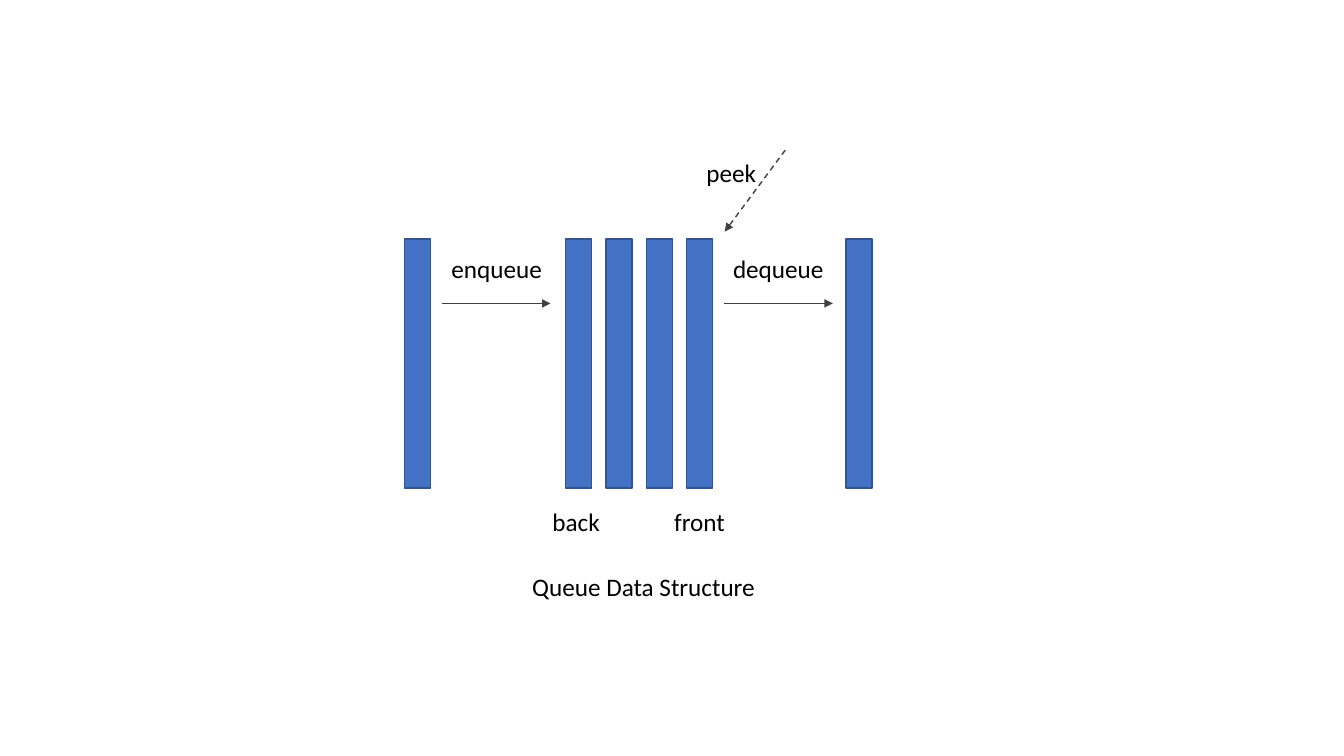
from pptx import Presentation
from pptx.dml.color import RGBColor
from pptx.enum.dml import MSO_LINE
from pptx.enum.shapes import MSO_CONNECTOR, MSO_SHAPE
from pptx.enum.text import MSO_AUTO_SIZE
from pptx.oxml.ns import qn
from pptx.util import Inches, Pt
from lxml.etree import SubElement

theme = {
    "bar": RGBColor(0x44, 0x72, 0xC4),
    "edge": RGBColor(0x32, 0x54, 0x91),
    "arrow": RGBColor(0x40, 0x40, 0x40),
    "line": Pt(1),
    "text": {"name": "Calibri", "size": Pt(18)},
    "ink": RGBColor(0, 0, 0),
}
STEP, LEFT, TOP = 0.4, 4.14, 2.37
WIDE, TALL = 0.65, 6.18


def span(*cells):
    return [Inches(STEP * cell) for cell in cells]


def place(col, row):
    return Inches(LEFT + STEP * col), Inches(TOP + STEP * row)


deck = Presentation()
deck.slide_width, deck.slide_height = Inches(13.33), Inches(7.5)
slide = deck.slides.add_slide(deck.slide_layouts[6])
shapes = slide.shapes

for col in (7, 6, 5, 4, 0, 10.95):
    bar = shapes.add_shape(
        MSO_SHAPE.RECTANGLE, *place(col - WIDE / 2, 0), *span(WIDE, TALL))
    bar.shadow.inherit = False
    bar.fill.solid()
    bar.fill.fore_color.rgb = theme["bar"]
    bar.line.color.rgb = theme["edge"]
    bar.line.width = theme["line"]

arrows = [
    ((0.6, 1.6), (3.3, 1.6), MSO_LINE.SOLID),
    ((7.6, 1.6), (10.3, 1.6), MSO_LINE.SOLID),
    ((9.12, -2.2), (7.62, -0.18), MSO_LINE.DASH),
]
for start, end, dash in arrows:
    arrow = shapes.add_connector(
        MSO_CONNECTOR.STRAIGHT, *place(*start), *place(*end))
    arrow.line.color.rgb = theme["arrow"]
    arrow.line.width = theme["line"]
    arrow.line.dash_style = dash
    SubElement(arrow.line._get_or_add_ln(), qn("a:tailEnd"), type="triangle")
    SubElement(arrow._element.spPr, qn("a:effectLst"))

labels = [
    ("enqueue", 0.6, 0.23, 2.78),
    ("dequeue", 7.58, 0.23, 2.78),
    ("peek", 6.92, -2.15, 1.75),
    ("back", 3.1, 6.5, 1.7),
    ("front", 6.12, 6.5, 1.78),
    ("Queue Data Structure", 2.6, 8.13, 6.1),
]
for word, col, row, width in labels:
    box = shapes.add_textbox(*place(col, row), *span(width, 1))
    frame = box.text_frame
    frame.word_wrap = False
    frame.auto_size = MSO_AUTO_SIZE.SHAPE_TO_FIT_TEXT
    run = frame.paragraphs[0].add_run()
    run.text = word
    run.font.color.rgb = theme["ink"]
    for key, value in theme["text"].items():
        setattr(run.font, key, value)

deck.save("out.pptx")
